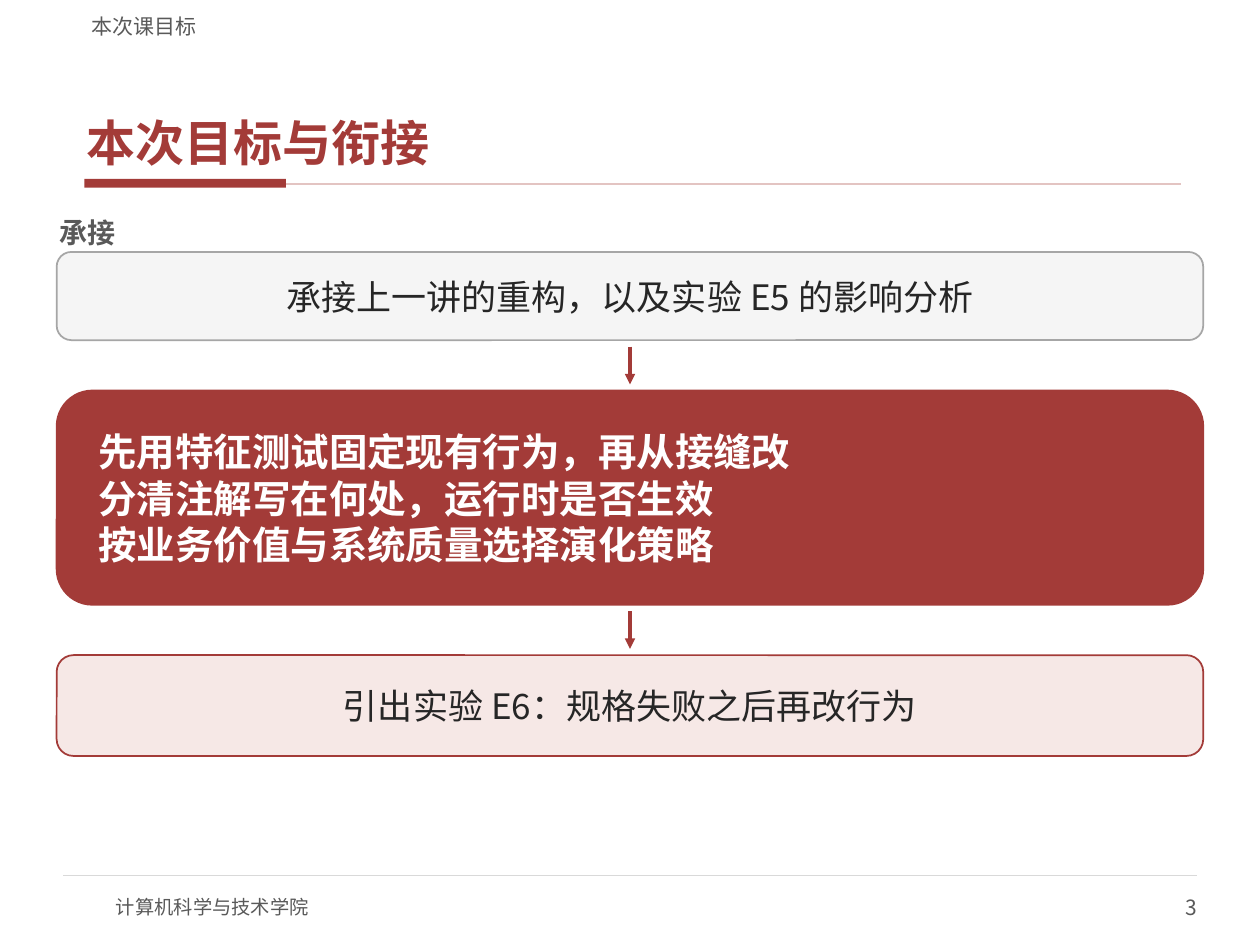
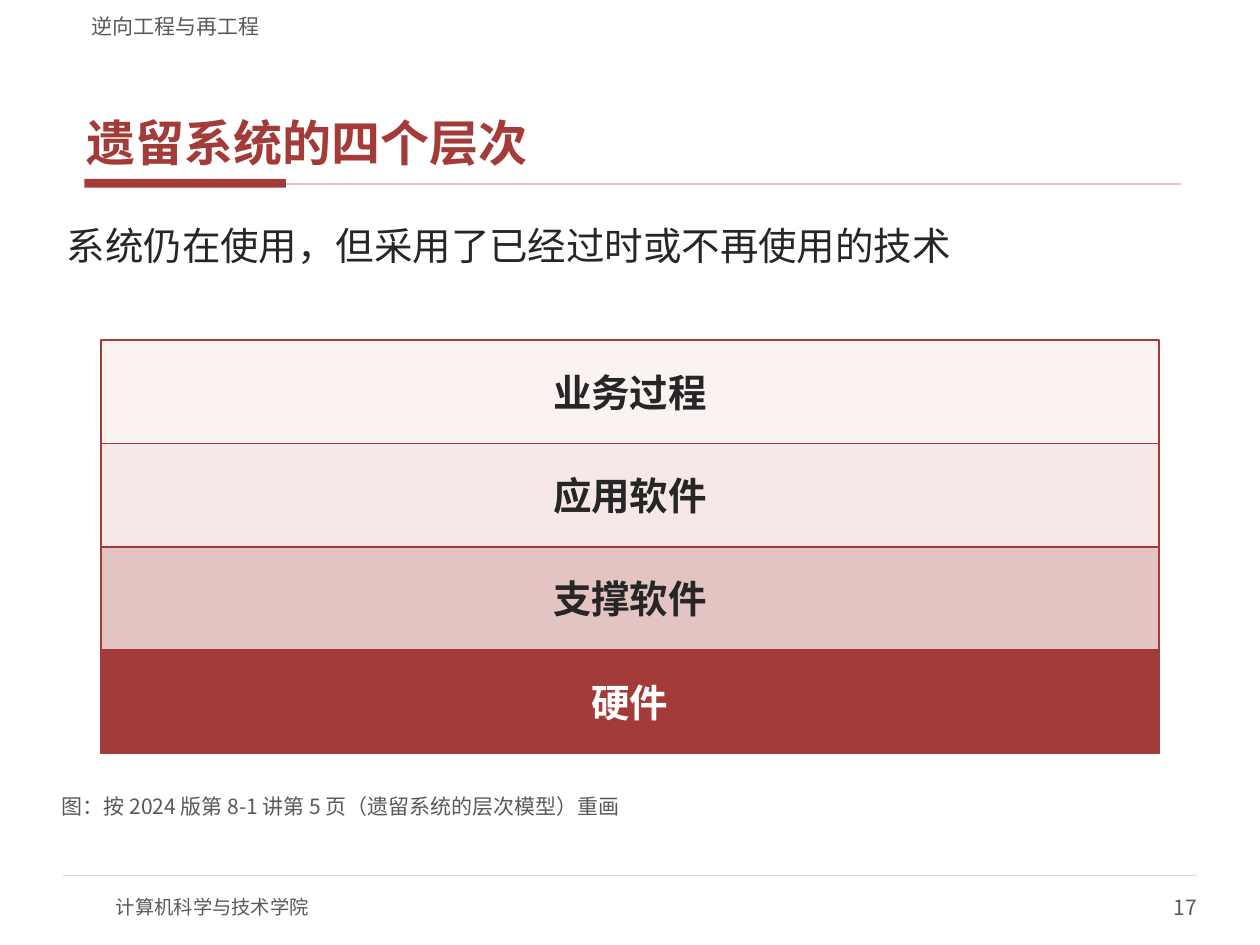
"""Build two lecture slides: the lesson goals and the layers of a legacy system."""
from lxml import etree
from pptx import Presentation
from pptx import util as u
from pptx.dml import color
from pptx.enum import shapes, text
from pptx.oxml import ns

PX = 9144
FONT = "Noto Sans CJK SC"
RED, ROSE, PINK, BLUSH = "A33B38", "E3C4C2", "F6E8E6", "FBF3F2"
INK, GRAY, WHITE = "262626", "595959", "FFFFFF"
SILVER, PALE, RULE = "A6A6A6", "F5F5F5", "D9D9D9"
LEFT, CENTER, RIGHT = text.PP_ALIGN.LEFT, text.PP_ALIGN.CENTER, text.PP_ALIGN.RIGHT
TOP, MIDDLE, BOTTOM = text.MSO_ANCHOR.TOP, text.MSO_ANCHOR.MIDDLE, text.MSO_ANCHOR.BOTTOM
RECTANGLE = shapes.MSO_SHAPE.RECTANGLE
ROUNDED = shapes.MSO_SHAPE.ROUNDED_RECTANGLE


def px(*lengths):
    """Turn whole px (100 to the inch) into EMU."""
    return [u.Emu(length * PX) for length in lengths]


def rgb(value):
    """Turn a hex string into a colour."""
    return color.RGBColor.from_string(value)


def write(shape, lines, size, ink, bold=False, align=LEFT, anchor=MIDDLE, margins=(8, 4)):
    """Fill a shape with styled lines; margins are horizontal and vertical px."""
    frame = shape.text_frame
    frame.word_wrap = True
    frame.vertical_anchor = anchor
    frame.margin_left, frame.margin_top = px(*margins)
    frame.margin_right, frame.margin_bottom = px(*margins)
    frame.text = "\n".join(lines)
    for paragraph in frame.paragraphs:
        paragraph.alignment = align
        for run in paragraph.runs:
            run.font.size = u.Pt(size)
            run.font.bold = bold
            run.font.name = FONT
            run.font.color.rgb = rgb(ink)
            east_asian = etree.SubElement(run.font._element, ns.qn("a:ea"))
            east_asian.set("typeface", FONT)


def add_label(slide, box, words, size, ink, **style):
    """Add a text box with one line of text."""
    label = slide.shapes.add_textbox(*px(*box))
    write(label, [words], size, ink, **style)
    return label


def add_block(slide, box, fill, outline=None, kind=RECTANGLE):
    """Add a filled shape, outlined when a colour is given."""
    block = slide.shapes.add_shape(kind, *px(*box))
    block.shadow.inherit = False
    block.fill.solid()
    block.fill.fore_color.rgb = rgb(fill)
    if outline:
        block.line.color.rgb = rgb(outline)
        block.line.width = u.Pt(1)
    else:
        block.line.fill.background()
    return block


def add_line(slide, ends, ink, width, arrow=False):
    """Add a straight line, with a triangular head when it is an arrow."""
    line = slide.shapes.add_connector(shapes.MSO_CONNECTOR.STRAIGHT, *px(*ends))
    line.line.color.rgb = rgb(ink)
    line.line.width = u.Pt(width)
    if arrow:
        etree.SubElement(line.line._get_or_add_ln(), ns.qn("a:tailEnd")).set("type", "triangle")
    etree.SubElement(line._element.spPr, ns.qn("a:effectLst"))


def add_frame(presentation, section, title, number):
    """Add a slide with its section name, title, rules and footer."""
    slide = presentation.slides.add_slide(presentation.slide_layouts[6])
    add_block(slide, (67, 142, 160, 7), RED)
    add_line(slide, (227, 146, 937, 146), ROSE, 1)
    add_line(slide, (50, 695, 950, 695), RULE, 0.75)
    add_label(slide, (92, 700, 400, 40), "计算机科学与技术学院", 11, GRAY, margins=(0, 0))
    add_label(slide, (750, 700, 200, 40), str(number), 12, GRAY, align=RIGHT, margins=(0, 0))
    heading = add_label(slide, (63, 33, 875, 105), title, 28, RED, bold=True,
                        anchor=BOTTOM, margins=(6, 2))
    heading.text_frame.paragraphs[0].space_after = u.Pt(2)
    add_label(slide, (63, 4, 875, 27), section, 12, GRAY, anchor=BOTTOM, margins=(10, 0))
    return slide


def build_goals(presentation):
    """Show how the lesson leads from the last one to the next experiment."""
    slide = add_frame(presentation, "本次课目标", "本次目标与衔接", 3)
    add_label(slide, (45, 168, 300, 32), "承接", 16, GRAY, bold=True, margins=(2, 1))
    plain = dict(size=20, ink=INK, align=CENTER)
    strong = dict(size=22, ink=WHITE, bold=True, margins=(25, 12))
    goals = ["先用特征测试固定现有行为，再从接缝改",
             "分清注解写在何处，运行时是否生效",
             "按业务价值与系统质量选择演化策略"]
    steps = [
        (70, PALE, SILVER, ["承接上一讲的重构，以及实验 E5 的影响分析"], plain),
        (170, RED, RED, goals, strong),
        (80, PINK, RED, ["引出实验 E6：规格失败之后再改行为"], plain),
    ]
    top, gap, inset = 200, 40, 5
    for index, (height, fill, outline, lines, style) in enumerate(steps):
        if index:
            add_line(slide, (500, top - gap + inset, 500, top - inset), RED, 1.75, arrow=True)
        step = add_block(slide, (45, top, 910, height), fill, outline, ROUNDED)
        write(step, lines, **style)
        top += height + gap


def build_layers(presentation):
    """Stack the four layers of a legacy system."""
    slide = add_frame(presentation, "逆向工程与再工程", "遗留系统的四个层次", 17)
    add_label(slide, (45, 172, 910, 86), "系统仍在使用，但采用了已经过时或不再使用的技术",
              22, INK, anchor=TOP)
    layers = [("业务过程", BLUSH, INK), ("应用软件", PINK, INK),
              ("支撑软件", ROSE, INK), ("硬件", RED, WHITE)]
    height = 82
    for index, (name, fill, ink) in enumerate(layers):
        layer = add_block(slide, (80, 270 + index * height, 840, height), fill, RED)
        write(layer, [name], 22, ink, bold=True, align=CENTER)
    add_label(slide, (45, 630, 910, 22), "图：按 2024 版第 8-1 讲第 5 页（遗留系统的层次模型）重画",
              12, GRAY, anchor=BOTTOM, margins=(4, 2))


def main():
    """Build and save the presentation."""
    presentation = Presentation()
    presentation.slide_width, presentation.slide_height = px(1000, 750)
    build_goals(presentation)
    build_layers(presentation)
    presentation.save("out.pptx")


if __name__ == "__main__":
    main()
